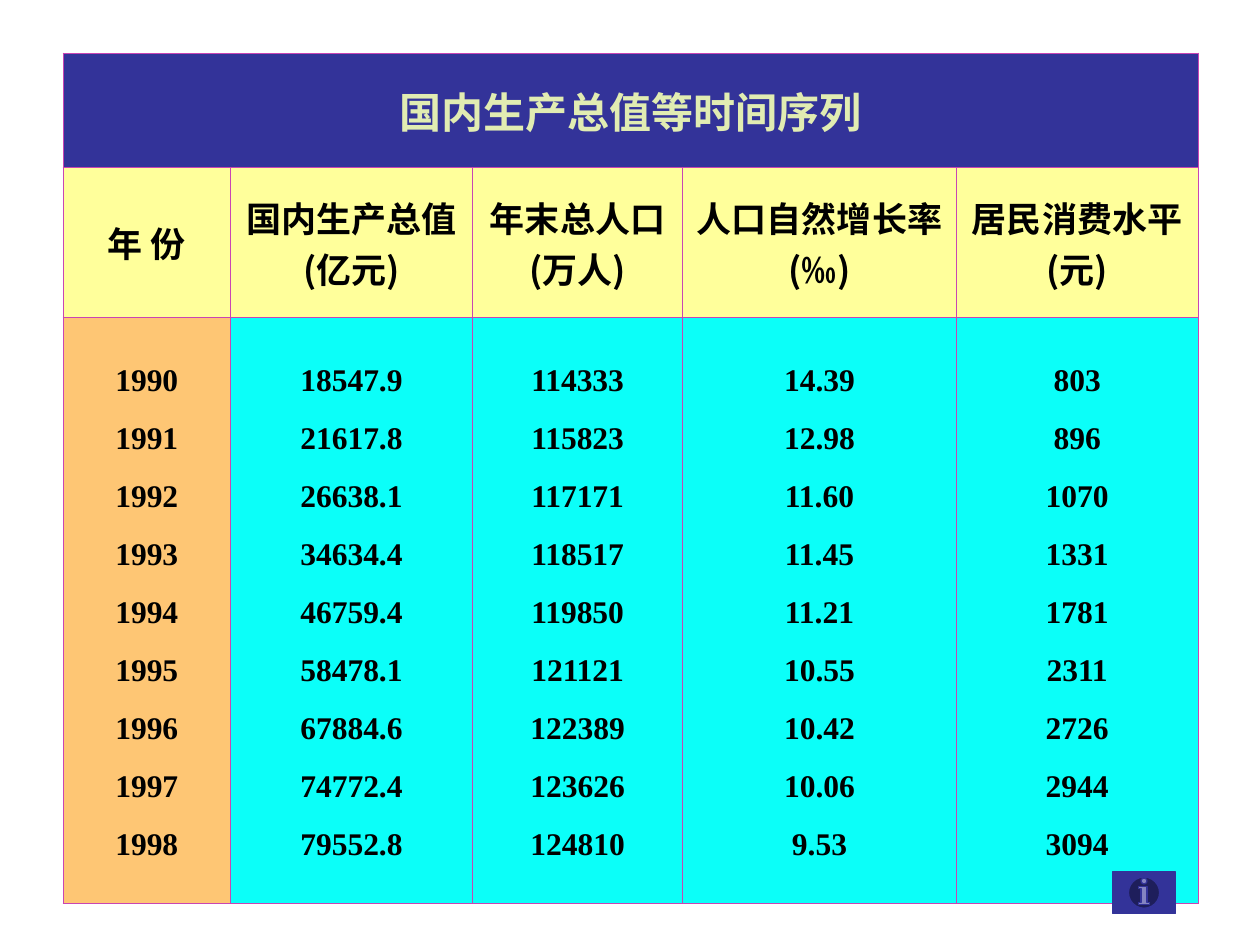
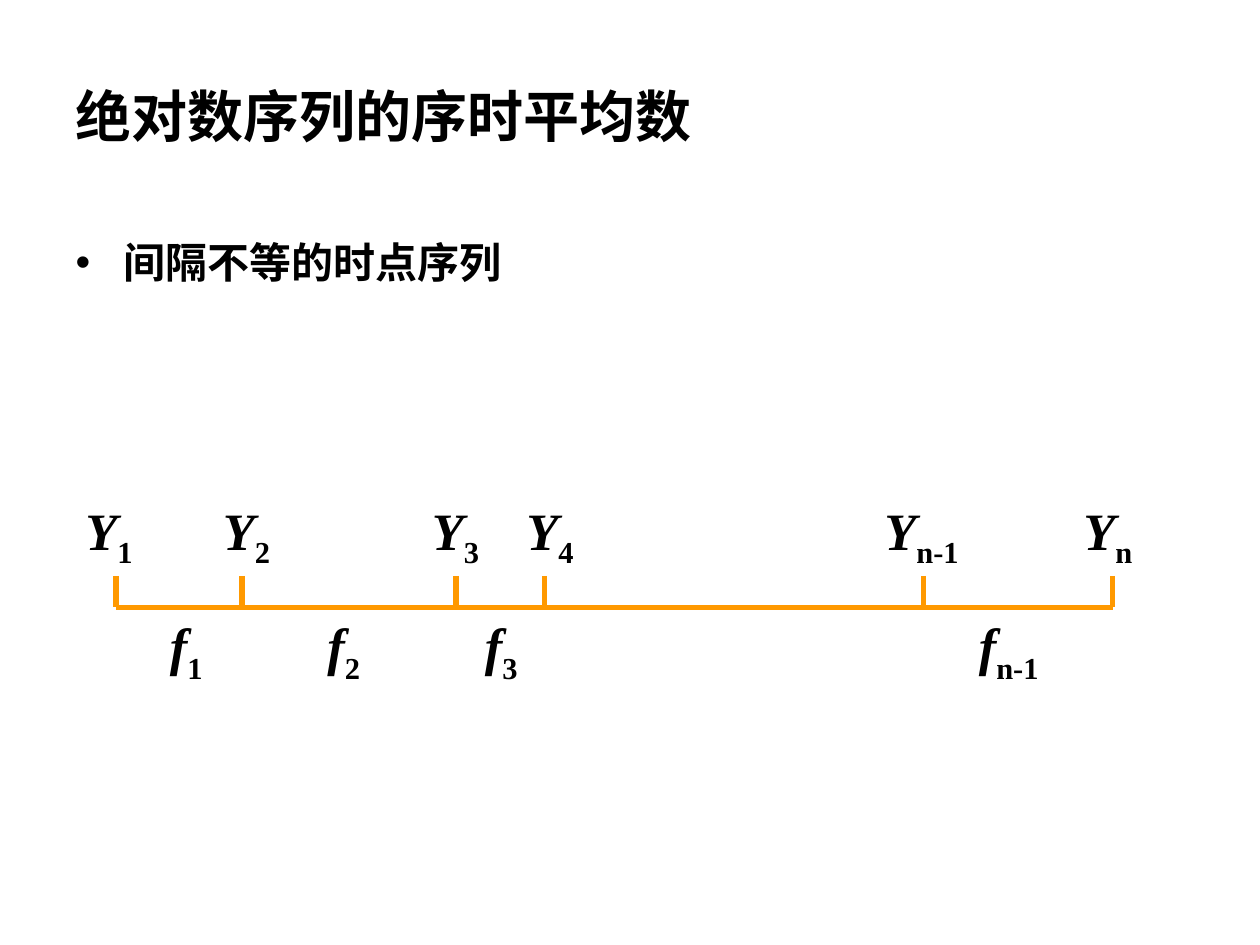
from lxml.etree import SubElement
from pptx import Presentation
from pptx.dml.color import RGBColor
from pptx.enum.shapes import MSO_CONNECTOR, MSO_SHAPE
from pptx.enum.text import MSO_ANCHOR, MSO_AUTO_SIZE, PP_ALIGN
from pptx.oxml.ns import qn
from pptx.util import Inches, Pt

# Shared colours and fonts
BLACK = RGBColor(0x00, 0x00, 0x00)
NAVY = RGBColor(0x33, 0x33, 0x99)
PALE_LIME = RGBColor(0xE1, 0xEC, 0xB2)
PALE_YELLOW = RGBColor(0xFF, 0xFF, 0x9B)
PEACH = RGBColor(0xFE, 0xC6, 0x74)
CYAN = RGBColor(0x0B, 0xFF, 0xF9)
MAGENTA = RGBColor(0xC9, 0x45, 0xB3)
ORANGE = RGBColor(0xFF, 0x99, 0x00)
SERIF = "Times New Roman"
SANS = "Arial"
CJK = "Noto Sans CJK SC"

# Content of the table slide
TABLE_TITLE = "国内生产总值等时间序列"
COLUMNS = [  # heading lines, width, fill, values
    (["年 份"], 1.33, PEACH,
     ["1990", "1991", "1992", "1993", "1994", "1995", "1996", "1997", "1998"]),
    (["国内生产总值", "(亿元)"], 1.92, CYAN,
     ["18547.9", "21617.8", "26638.1", "34634.4", "46759.4",
      "58478.1", "67884.6", "74772.4", "79552.8"]),
    (["年末总人口", "(万人)"], 1.67, CYAN,
     ["114333", "115823", "117171", "118517", "119850",
      "121121", "122389", "123626", "124810"]),
    (["人口自然增长率", "(‰)"], 2.17, CYAN,
     ["14.39", "12.98", "11.60", "11.45", "11.21",
      "10.55", "10.42", "10.06", "9.53"]),
    (["居民消费水平", "(元)"], 1.92, CYAN,
     ["803", "896", "1070", "1331", "1781", "2311", "2726", "2944", "3094"]),
]
ROW_HEIGHTS = [0.91, 1.19, 4.65]

# Content of the time-line slide
SLIDE_TITLE = "绝对数序列的序时平均数"
BULLET = "间隔不等的时点序列"
POINTS = [  # subscript, tick x, label left, label width
    ("1", 0.92, 0.58, 0.73),
    ("2", 1.92, 1.67, 0.72),
    ("3", 3.62, 3.33, 0.73),
    ("4", 4.32, 4.08, 0.83),
    ("n-1", 7.33, 6.92, 0.97),
    ("n", 8.83, 8.5, 0.75),
]
INTERVALS = [  # subscript, label left, label width
    ("1", 1.25, 0.8),
    ("2", 2.5, 0.8),
    ("3", 3.75, 0.81),
    ("n-1", 7.67, 1.15),
]
TICK_TOP, AXIS_Y = 4.57, 4.82
LABEL_TOP, LABEL_HEIGHT = 3.9, 0.67


def write_text(frame, paragraphs, size=18, font=SERIF, color=BLACK, italic=False,
               align=PP_ALIGN.LEFT, line_spacing=1.0, before=0, after=0,
               subscript=None, shadow=False):
    """Fill a frame with bold paragraphs; a subscript ends the last one."""
    frame.word_wrap = True
    for index, text in enumerate(paragraphs):
        paragraph = frame.paragraphs[0] if index == 0 else frame.add_paragraph()
        paragraph.alignment = align
        paragraph.line_spacing = line_spacing
        paragraph.space_before = Pt(before if index else 0)
        paragraph.space_after = Pt(after)
        parts = [(text, False)]
        if subscript and index == len(paragraphs) - 1:
            parts.append((subscript, True))
        for words, lowered in parts:
            run = paragraph.add_run()
            run.text = words
            run.font.size, run.font.bold = Pt(size), True
            run.font.italic = italic and not lowered
            run.font.color.rgb = color
            properties = run.font._element
            if lowered:
                properties.set("baseline", "-25000")
            if shadow:
                effects = SubElement(properties, qn("a:effectLst"))
                cast = SubElement(effects, qn("a:outerShdw"), dist="38100", dir="2700000")
                SubElement(cast, qn("a:srgbClr"), val="808080")
            run.font.name = font
            SubElement(properties, qn("a:ea"), typeface=CJK)


def place(shape, left, top, width, height):
    shape.left, shape.top = Inches(left), Inches(top)
    shape.width, shape.height = Inches(width), Inches(height)


def style_cell(cell, fill):
    """Thin border on all sides, then the fill."""
    properties = cell._tc.get_or_add_tcPr()
    for side in ("lnL", "lnR", "lnT", "lnB"):
        border = SubElement(properties, qn(f"a:{side}"), w=str(Pt(0.45)))
        SubElement(SubElement(border, qn("a:solidFill")), qn("a:srgbClr"), val=str(MAGENTA))
    cell.fill.solid()
    cell.fill.fore_color.rgb = fill
    cell.vertical_anchor = MSO_ANCHOR.MIDDLE


def add_axis_line(slide, x1, y1, x2, y2):
    line = slide.shapes.add_connector(
        MSO_CONNECTOR.STRAIGHT, Inches(x1), Inches(y1), Inches(x2), Inches(y2))
    line.line.color.rgb = ORANGE
    line.line.width = Pt(3)
    SubElement(line._element.spPr, qn("a:effectLst"))


def add_symbol(slide, letter, subscript, left, top, width):
    box = slide.shapes.add_textbox(
        Inches(left), Inches(top), Inches(width), Inches(LABEL_HEIGHT))
    write_text(box.text_frame, [letter], size=30, italic=True,
               subscript=subscript, shadow=True)
    box.text_frame.auto_size = MSO_AUTO_SIZE.SHAPE_TO_FIT_TEXT


def build_table_slide(deck):
    slide = deck.slides.add_slide(deck.slide_layouts[6])
    table = slide.shapes.add_table(
        len(ROW_HEIGHTS), len(COLUMNS), Inches(0.5), Inches(0.42),
        Inches(9), Inches(sum(ROW_HEIGHTS))).table
    for row, height in zip(table.rows, ROW_HEIGHTS):
        row.height = Inches(height)

    # Columns of headings and values
    for index, (heading, width, fill, values) in enumerate(COLUMNS):
        table.columns[index].width = Inches(width)
        banner, head, body = (table.cell(row, index) for row in range(3))
        style_cell(banner, NAVY)
        style_cell(head, PALE_YELLOW)
        style_cell(body, fill)
        write_text(head.text_frame, heading, size=20, font=CJK, align=PP_ALIGN.CENTER)
        write_text(body.text_frame, values, align=PP_ALIGN.CENTER,
                   line_spacing=1.15, before=6.8, after=3.4)

    # Title band across the table
    title = table.cell(0, 0)
    title.merge(table.cell(0, len(COLUMNS) - 1))
    write_text(title.text_frame, [TABLE_TITLE], size=24, color=PALE_LIME,
               align=PP_ALIGN.CENTER)

    # Information button
    button = slide.shapes.add_shape(
        MSO_SHAPE.ACTION_BUTTON_INFORMATION,
        Inches(8.83), Inches(6.92), Inches(0.5), Inches(0.33))
    button.shadow.inherit = False
    button.fill.solid()
    button.fill.fore_color.rgb = NAVY
    button.line.color.rgb = NAVY
    button.line.width = Pt(0.75)


def build_timeline_slide(deck):
    slide = deck.slides.add_slide(deck.slide_layouts[1])

    # Title and bullet
    title, body = slide.shapes.title, slide.placeholders[1]
    place(title, 0.5, 0.58, 9, 0.67)
    write_text(title.text_frame, [SLIDE_TITLE], size=32, font=SANS)
    title.text_frame.vertical_anchor = MSO_ANCHOR.MIDDLE
    place(body, 0.5, 1.83, 9, 0.58)
    bullet = body.text_frame.paragraphs[0]._p.get_or_add_pPr()
    bullet.set("marL", str(Inches(0.38)))
    bullet.set("indent", str(Inches(-0.38)))
    SubElement(SubElement(bullet, qn("a:buClr")), qn("a:srgbClr"), val=str(BLACK))
    SubElement(bullet, qn("a:buFont"), typeface=SANS)
    SubElement(bullet, qn("a:buChar"), char="•")
    write_text(body.text_frame, [BULLET], size=24, font=CJK)
    for frame in (title.text_frame, body.text_frame):
        frame.auto_size = MSO_AUTO_SIZE.NONE

    # Time line with its points and intervals
    for subscript, tick, left, width in POINTS:
        add_axis_line(slide, tick, TICK_TOP, tick, AXIS_Y)
        add_symbol(slide, "Y", subscript, left, LABEL_TOP, width)
    for subscript, left, width in INTERVALS:
        add_symbol(slide, "f", subscript, left, AXIS_Y, width)
    add_axis_line(slide, POINTS[0][1], AXIS_Y, POINTS[-1][1], AXIS_Y)


def main():
    deck = Presentation()
    deck.slide_width, deck.slide_height = Inches(10), Inches(7.5)
    build_table_slide(deck)
    build_timeline_slide(deck)
    deck.save("out.pptx")


if __name__ == "__main__":
    main()
